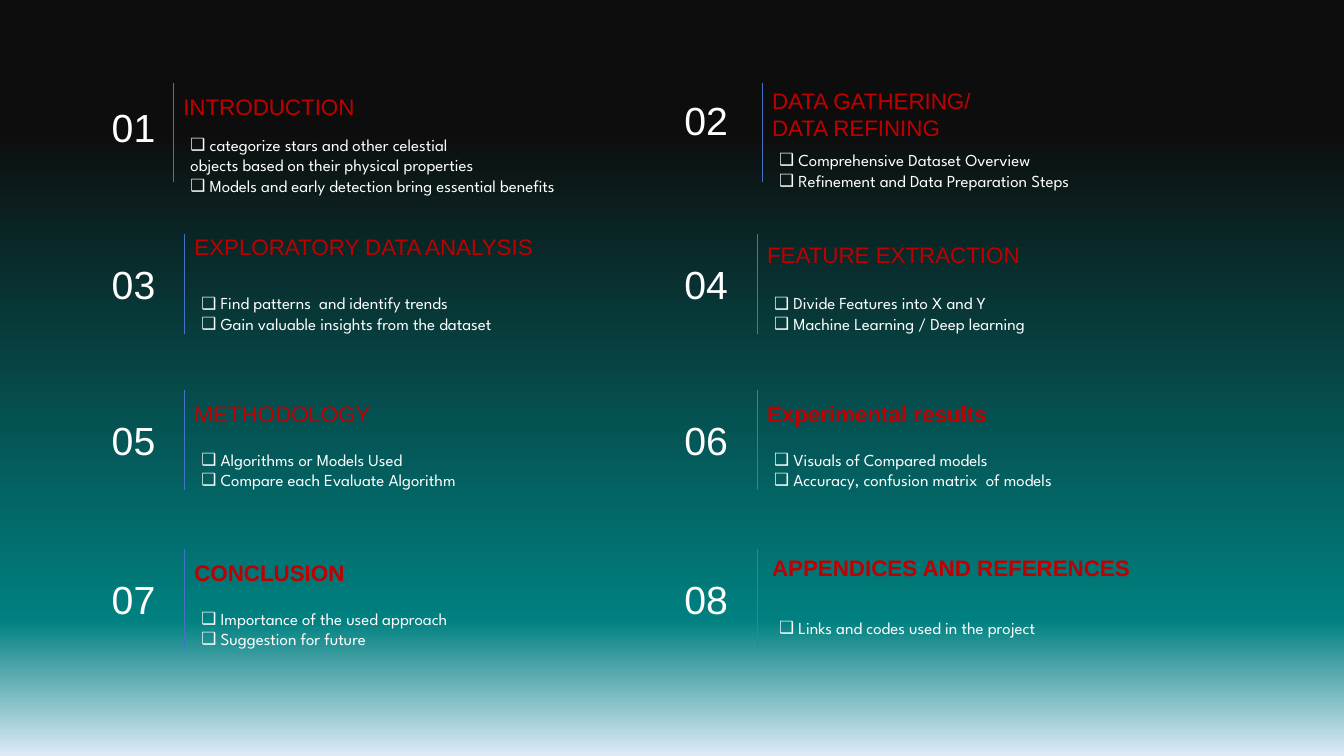
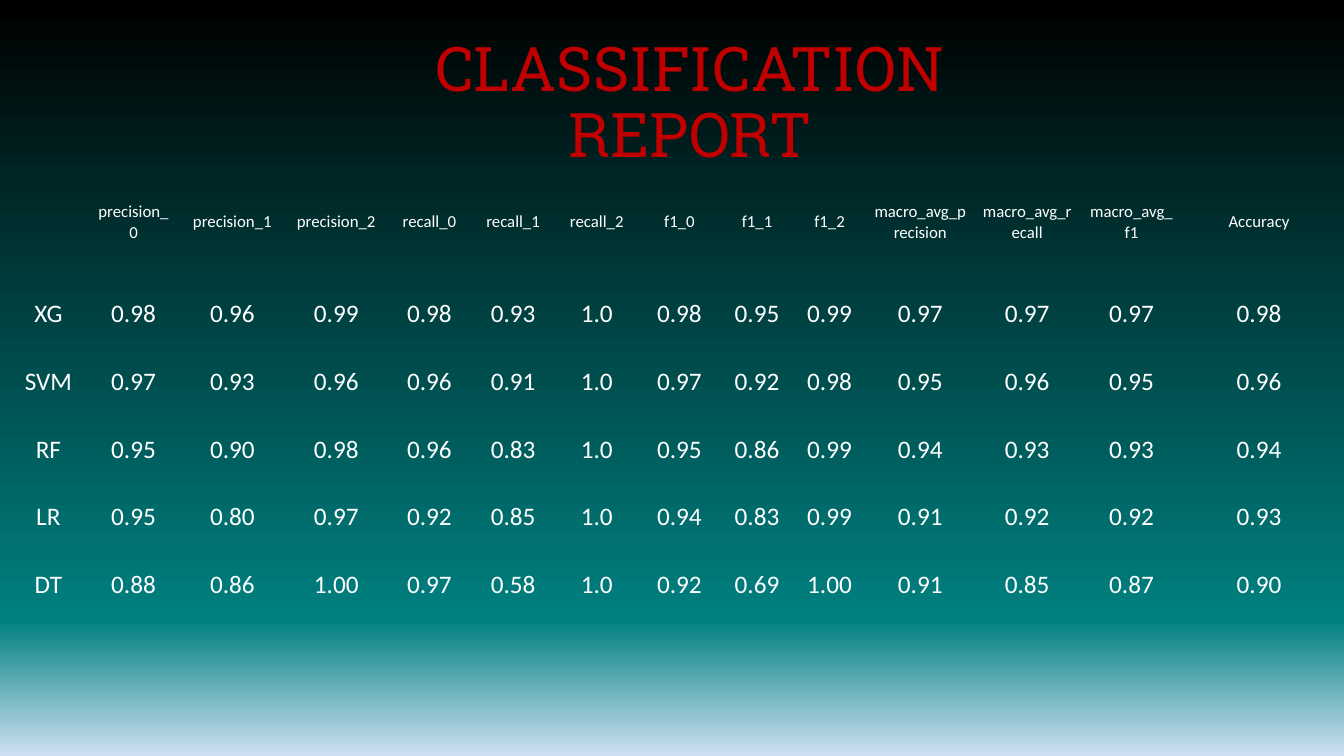
import pptx
import pptx.util
import pptx.dml.color
import pptx.enum.dml
import pptx.enum.shapes
import pptx.enum.text
import pptx.oxml
import pptx.oxml.ns

HUES = {"white": "FFFFFF", "red": "C00000", "blue": "4472C4", "teal": "008080",
        "black": "000000", "ink": "0D0D0D", "ice": "DEEBF7", "sky": "CEE1F2"}

WIDE, HIGH = 13.33, 7.5
COLS, ROWS = 133.3, 75

FONTS = {
    "count": ({"name": "Arial", "size": pptx.util.Pt(28)}, "white"),
    "head": ({"name": "Arial", "size": pptx.util.Pt(16)}, "red"),
    "bold": ({"name": "Arial", "size": pptx.util.Pt(16), "bold": True}, "red"),
    "body": ({"name": "League Spartan", "size": pptx.util.Pt(12)}, "white"),
    "title": ({"name": "Roboto Slab", "size": pptx.util.Pt(44)}, "red"),
    "label": ({"name": "Calibri", "size": pptx.util.Pt(12)}, "white"),
    "cell": ({"name": "Calibri", "size": pptx.util.Pt(18)}, "white"),
}
FRAME = {"word_wrap": True, "auto_size": pptx.enum.text.MSO_AUTO_SIZE.SHAPE_TO_FIT_TEXT}
MID = pptx.enum.text.PP_ALIGN.CENTER
PLAIN = "{2D5ABB26-0587-4C30-8999-92F81FD0307C}"
MARK = "❑ "

LEFT, RIGHT = 10.1, 66.9
BANDS = [8.2, 23.2, 38.7, 54.5]
NORM = {"rule": 8.2, "text": 8.2, "num": 2.1, "head": 0.5, "list": 5.4, "font": "head"}

TOPICS = [
    ("INTRODUCTION",
     [MARK + "categorize stars and other celestial",
      "objects based on their physical properties",
      MARK + "Models and early detection bring essential benefits"],
     {"rule": 7.1, "text": 7.1, "num": 1.6, "list": 4.7}),
    ("DATA GATHERING/\nDATA REFINING",
     [MARK + "Comprehensive Dataset Overview",
      MARK + "Refinement and Data Preparation Steps"],
     {"rule": 8.7, "text": 8.7, "num": 0.9, "head": 0, "list": 6.2}),
    ("EXPLORATORY DATA ANALYSIS",
     [MARK + "Find patterns  and identify trends",
      MARK + "Gain valuable insights from the dataset"],
     {"head": -0.6}),
    ("FEATURE EXTRACTION",
     [MARK + "Divide Features into X and Y",
      MARK + "Machine Learning / Deep learning"],
     {"head": 0.2}),
    ("METHODOLOGY",
     [MARK + "Algorithms or Models Used",
      MARK + "Compare each Evaluate Algorithm"], {}),
    ("Experimental results",
     [MARK + "Visuals of Compared models",
      MARK + "Accuracy, confusion matrix  of models"],
     {"font": "bold"}),
    ("CONCLUSION",
     [MARK + "Importance of the used approach",
      MARK + "Suggestion for future"],
     {"font": "bold"}),
    ("APPENDICES AND REFERENCES",
     [MARK + "Links and codes used in the project"],
     {"text": 8.7, "head": 0, "list": 6.3, "font": "bold"}),
]

LABELS = ["", "precision_0", "precision_1", "precision_2", "recall_0", "recall_1",
          "recall_2", "f1_0", "f1_1", "f1_2", "macro_avg_precision",
          "macro_avg_recall", "macro_avg_f1", "Accuracy"]
SCORES = [
    "XG 0.98 0.96 0.99 0.98 0.93 1.0 0.98 0.95 0.99 0.97 0.97 0.97 0.98",
    "SVM 0.97 0.93 0.96 0.96 0.91 1.0 0.97 0.92 0.98 0.95 0.96 0.95 0.96",
    "RF 0.95 0.90 0.98 0.96 0.83 1.0 0.95 0.86 0.99 0.94 0.93 0.93 0.94",
    "LR 0.95 0.80 0.97 0.92 0.85 1.0 0.94 0.83 0.99 0.91 0.92 0.92 0.93",
    "DT 0.88 0.86 1.00 0.97 0.58 1.0 0.92 0.69 1.00 0.91 0.85 0.87 0.90",
]
WIDTHS = [7.6, 9.3, 10.3, 10.3, 8.2, 8.4, 8.2, 8.2, 7.2, 7.2, 10.8, 10.4, 10.3, 15]
TALL, SHORT = 11.5, 6.72


def across(cols):
    return pptx.util.Inches(WIDE * cols / COLS)


def down(rows):
    return pptx.util.Inches(HIGH * rows / ROWS)


def place(left, top, wide, high):
    return across(left), down(top), across(wide), down(high)


def tint(hue):
    return pptx.dml.color.RGBColor.from_string(HUES[hue])


def add(parent, tag, **attrs):
    return pptx.oxml.ns.qn(tag) and parent.append(make(tag, attrs)) or parent[-1]


def make(tag, attrs):
    node = pptx.oxml.parse_xml(f"<{tag} {pptx.oxml.ns.nsdecls('a')}/>")
    for key, value in attrs.items():
        node.set(key, value)
    return node


def style(font, kind):
    attrs, hue = FONTS[kind]
    for key, value in attrs.items():
        setattr(font, key, value)
    font.color.rgb = tint(hue)


def paint(slide, stops):
    fill = slide.background.fill
    fill.gradient()
    fill.gradient_angle = 270
    group = slide.element.find(".//" + pptx.oxml.ns.qn("a:gsLst"))
    for node in list(group):
        group.remove(node)
    for share, hue in stops:
        stop = add(group, "a:gs", pos=str(share * 1000))
        add(stop, "a:srgbClr", val=HUES[hue])


def bullet(para):
    props = para._p.get_or_add_pPr()
    inset = pptx.util.Inches(0.19)
    props.set("marL", str(inset))
    props.set("indent", str(-inset))
    add(props, "a:buFont", typeface="Arial")
    add(props, "a:buChar", char=MARK.strip())


def write(shapes, area, lines, kind):
    frame = shapes.add_textbox(*place(*area)).text_frame
    for key, value in FRAME.items():
        setattr(frame, key, value)
    for turn, line in enumerate(lines):
        para = frame.add_paragraph() if turn else frame.paragraphs[0]
        if line.startswith(MARK):
            bullet(para)
        run = para.add_run()
        run.text = line.removeprefix(MARK)
        style(run.font, kind)
    return frame


def rule(shapes, left, top, high):
    line = shapes.add_connector(pptx.enum.shapes.MSO_CONNECTOR.STRAIGHT,
                                across(left), down(top), across(left), down(top + high))
    line.line.color.rgb = tint("blue")
    line.line.width = pptx.util.Pt(0.5)
    add(line._element.spPr, "a:effectLst")


def topic(slide, turn, head, lines, shift):
    spot = NORM | shift
    left, top = (LEFT, RIGHT)[turn % 2], BANDS[turn // 2]
    shapes = slide.shapes.add_group_shape().shapes
    side = left + spot["text"]
    heads = head.split("\n")
    write(shapes, (left, top + spot["num"], 8.2, 5.7), [f"{turn + 1:02}"], "count")
    write(shapes, (side, top + spot["head"], 42, 1 + 2.7 * len(heads)), heads, spot["font"])
    rule(shapes, left + spot["rule"], top, 9.9)
    write(shapes, (side + 0.7, top + spot["list"], 45.9, 1 + 2 * len(lines)), lines, "body")


def report(slide):
    rows = [LABELS] + [score.split() for score in SCORES]
    area = place(1, 16.3, sum(WIDTHS), TALL + SHORT * len(SCORES))
    frame = slide.shapes.add_table(len(rows), len(LABELS), *area)
    table = frame.table
    table.first_row = table.horz_banding = False
    table._tbl.tblPr.find(pptx.oxml.ns.qn("a:tableStyleId")).text = PLAIN
    for col, wide in zip(table.columns, WIDTHS):
        col.width = across(wide)
    form = {"vertical_anchor": pptx.enum.text.MSO_ANCHOR.MIDDLE,
            "margin_left": across(0.8), "margin_right": across(0.8),
            "margin_top": down(0.4), "margin_bottom": down(0.4)}
    for y, row in enumerate(rows):
        table.rows[y].height = down(SHORT if y else TALL)
        for x, word in enumerate(row):
            cell = table.cell(y, x)
            cell.fill.background()
            for key, value in form.items():
                setattr(cell, key, value)
            cell.text = word
            para = cell.text_frame.paragraphs[0]
            para.alignment = MID
            style(para.runs[0].font if para.runs else para.font, "cell" if y else "label")


def main():
    deck = pptx.Presentation()
    deck.slide_width, deck.slide_height = across(COLS), down(ROWS)
    blank = deck.slide_layouts[6]

    plan = deck.slides.add_slide(blank)
    paint(plan, [(17, "ink"), (82, "teal"), (100, "ice")])
    for turn, (head, lines, shift) in enumerate(TOPICS):
        topic(plan, turn, head, lines, shift)

    marks = deck.slides.add_slide(blank)
    paint(marks, [(0, "black"), (82, "teal"), (100, "sky")])
    report(marks)
    title = write(marks.shapes, (30.2, 3.3, 76.5, 8.4), ["CLASSIFICATION REPORT"], "title")
    title.paragraphs[0].alignment = MID
    title.paragraphs[0].line_spacing = 0.9

    deck.save("out.pptx")


if __name__ == "__main__":
    main()
